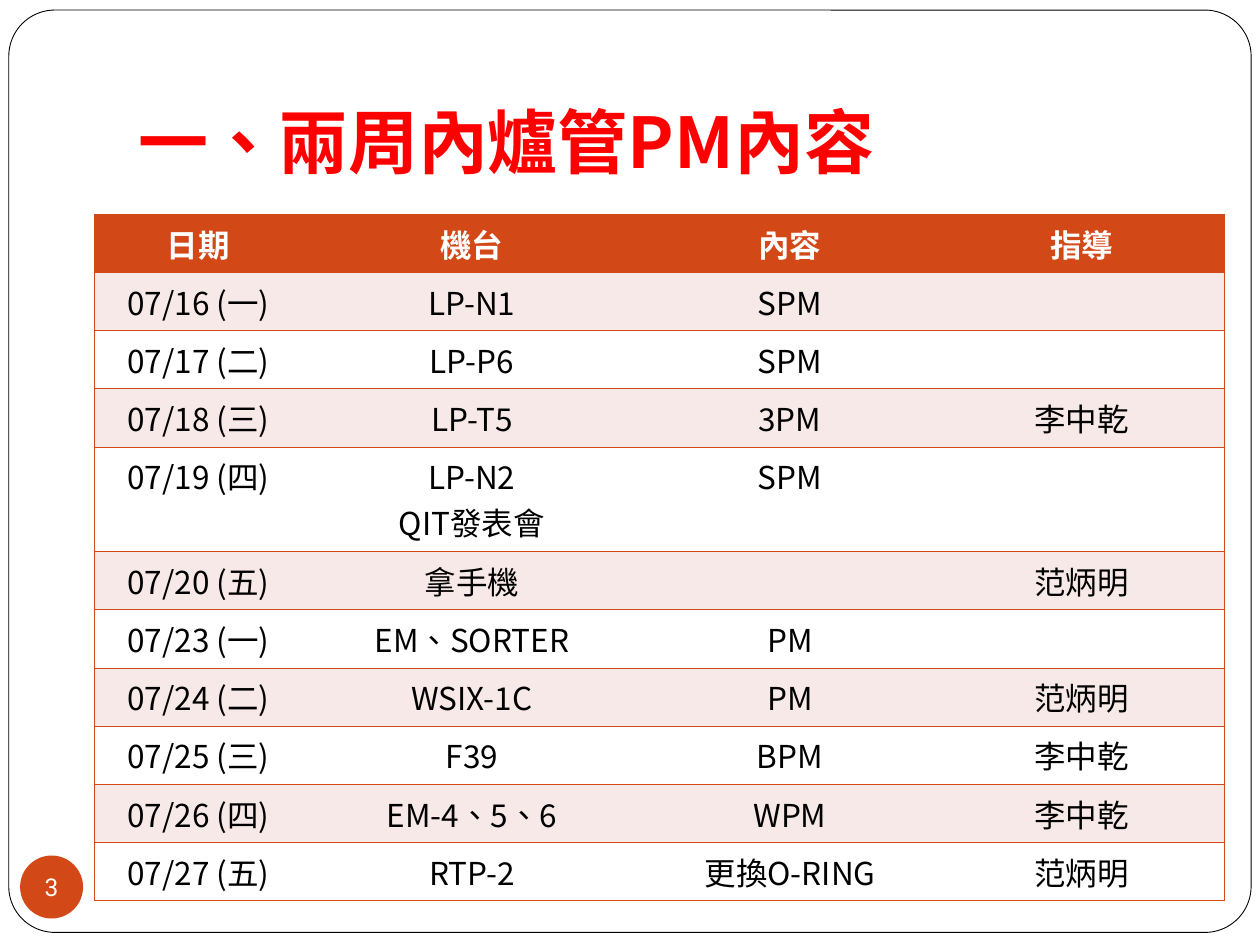
"""Build the slide listing two weeks of furnace maintenance work."""
from dataclasses import dataclass

from lxml import etree
from pptx import Presentation
from pptx.dml.color import RGBColor
from pptx.enum import shapes, text
from pptx.oxml import ns
from pptx.util import Inches, Pt

COLORS = {"accent": "D34817", "band": "F7E9E7", "white": "FFFFFF",
          "black": "000000", "title": "FF0000"}
CJK = "Noto Sans CJK SC"
CENTER = text.PP_ALIGN.CENTER
COLUMN_WIDTHS = (1.65, 2.69, 2.36, 2.27)
TABLE_HEIGHT, TALL_ROW_HEIGHT = 5.45, 0.83


@dataclass(frozen=True)
class Job:
    date: str
    machine: str
    content: str = ""
    guide: str = ""

    def values(self) -> tuple[str, ...]:
        return self.date, self.machine, self.content, self.guide


@dataclass(frozen=True)
class TextStyle:
    size: int
    color: str
    bold: bool = False
    font: str = CJK
    align: text.PP_ALIGN = CENTER


@dataclass(frozen=True)
class Panel:
    kind: shapes.MSO_SHAPE
    box: tuple[float, float, float, float]
    fill: str
    line: str = ""


HEADER = Job("日期", "機台", "內容", "指導")
JOBS = (
    Job("07/16 (一)", "LP-N1", "SPM"),
    Job("07/17 (二)", "LP-P6", "SPM"),
    Job("07/18 (三)", "LP-T5", "3PM", "李中乾"),
    Job("07/19 (四)", "LP-N2\nQIT發表會", "SPM"),
    Job("07/20 (五)", "拿手機", "", "范炳明"),
    Job("07/23 (一)", "EM、SORTER", "PM"),
    Job("07/24 (二)", "WSIX-1C", "PM", "范炳明"),
    Job("07/25 (三)", "F39", "BPM", "李中乾"),
    Job("07/26 (四)", "EM-4、5、6", "WPM", "李中乾"),
    Job("07/27 (五)", "RTP-2", "更換O-RING", "范炳明"),
)
FRAME = Panel(shapes.MSO_SHAPE.ROUNDED_RECTANGLE, (0.07, 0.08, 9.86, 7.32), "white", "black")
BADGE = Panel(shapes.MSO_SHAPE.OVAL, (0.16, 6.79, 0.5, 0.5), "accent")


def rgb(name: str) -> RGBColor:
    return RGBColor.from_string(COLORS[name])


def write(tf, content: str, style: TextStyle) -> None:
    tf.text = content
    for p in tf.paragraphs:
        p.alignment = style.align
        for r in p.runs:
            values = {"size": Pt(style.size), "bold": style.bold, "name": style.font}
            for key, value in values.items():
                setattr(r.font, key, value)
            r.font.color.rgb = rgb(style.color)
            r_pr = r.font._element
            r_pr.set("lang", "zh-TW")
            etree.SubElement(r_pr, ns.qn("a:ea"), typeface=style.font)


def format_frame(tf, margins: tuple[float, ...], **values) -> None:
    for side, margin in zip(("left", "top", "right", "bottom"), margins):
        setattr(tf, f"margin_{side}", Inches(margin))
    for key, value in values.items():
        setattr(tf, key, value)


def add_panel(s, panel: Panel):
    sp = s.shapes.add_shape(panel.kind, *map(Inches, panel.box))
    sp.shadow.inherit = False
    sp.fill.solid()
    sp.fill.fore_color.rgb = rgb(panel.fill)
    if panel.line:
        sp.line.color.rgb = rgb(panel.line)
        sp.line.width = Pt(0.5)
    else:
        sp.line.fill.background()
    return sp


def add_borders(cell, visible: str) -> None:
    tc_pr = cell._tc.get_or_add_tcPr()
    for side in "LRTB":
        ln = etree.SubElement(tc_pr, ns.qn(f"a:ln{side}"), w=str(Pt(0.45)))
        if side in visible:
            fill = etree.SubElement(ln, ns.qn("a:solidFill"))
            etree.SubElement(fill, ns.qn("a:srgbClr"), val=COLORS["accent"])
        else:
            etree.SubElement(ln, ns.qn("a:noFill"))


def add_schedule(s) -> None:
    rows = (HEADER, *JOBS)
    row_height = (TABLE_HEIGHT - TALL_ROW_HEIGHT) / (len(rows) - 1)
    box = (0.75, 1.7, sum(COLUMN_WIDTHS), TABLE_HEIGHT)
    table = s.shapes.add_table(len(rows), len(COLUMN_WIDTHS), *map(Inches, box)).table
    for column, width in zip(table.columns, COLUMN_WIDTHS):
        column.width = Inches(width)
    last = len(COLUMN_WIDTHS) - 1
    for i, job in enumerate(rows):
        table.rows[i].height = Inches(TALL_ROW_HEIGHT if "\n" in job.machine else row_height)
        fill = "accent" if i == 0 else "band" if i % 2 else "white"
        style = TextStyle(18, "black" if i else "white", bold=i == 0)
        for j, value in enumerate(job.values()):
            cell = table.cell(i, j)
            add_borders(cell, "TB" + {0: "L", last: "R"}.get(j, ""))
            cell.fill.solid()
            cell.fill.fore_color.rgb = rgb(fill)
            write(cell.text_frame, value, style)


def main() -> None:
    prs = Presentation()
    prs.slide_width, prs.slide_height = Inches(10), Inches(7.5)
    s = prs.slides.add_slide(prs.slide_layouts[6])

    add_panel(s, FRAME).adjustments[0] = 0.05

    tf = s.shapes.add_textbox(*map(Inches, (1, 0.3, 8.5, 1.25))).text_frame
    format_frame(tf, (0.1, 0.05, 0.1, 0.1), word_wrap=True,
                 vertical_anchor=text.MSO_ANCHOR.BOTTOM)
    write(tf, "一、兩周內爐管PM內容",
          TextStyle(40, "title", bold=True, align=text.PP_ALIGN.LEFT))

    add_schedule(s)

    tf = add_panel(s, BADGE).text_frame
    format_frame(tf, (0, 0, 0, 0), word_wrap=False,
                 vertical_anchor=text.MSO_ANCHOR.MIDDLE)
    write(tf, "3", TextStyle(14, "white", font="Roboto"))

    prs.save("out.pptx")


if __name__ == "__main__":
    main()
